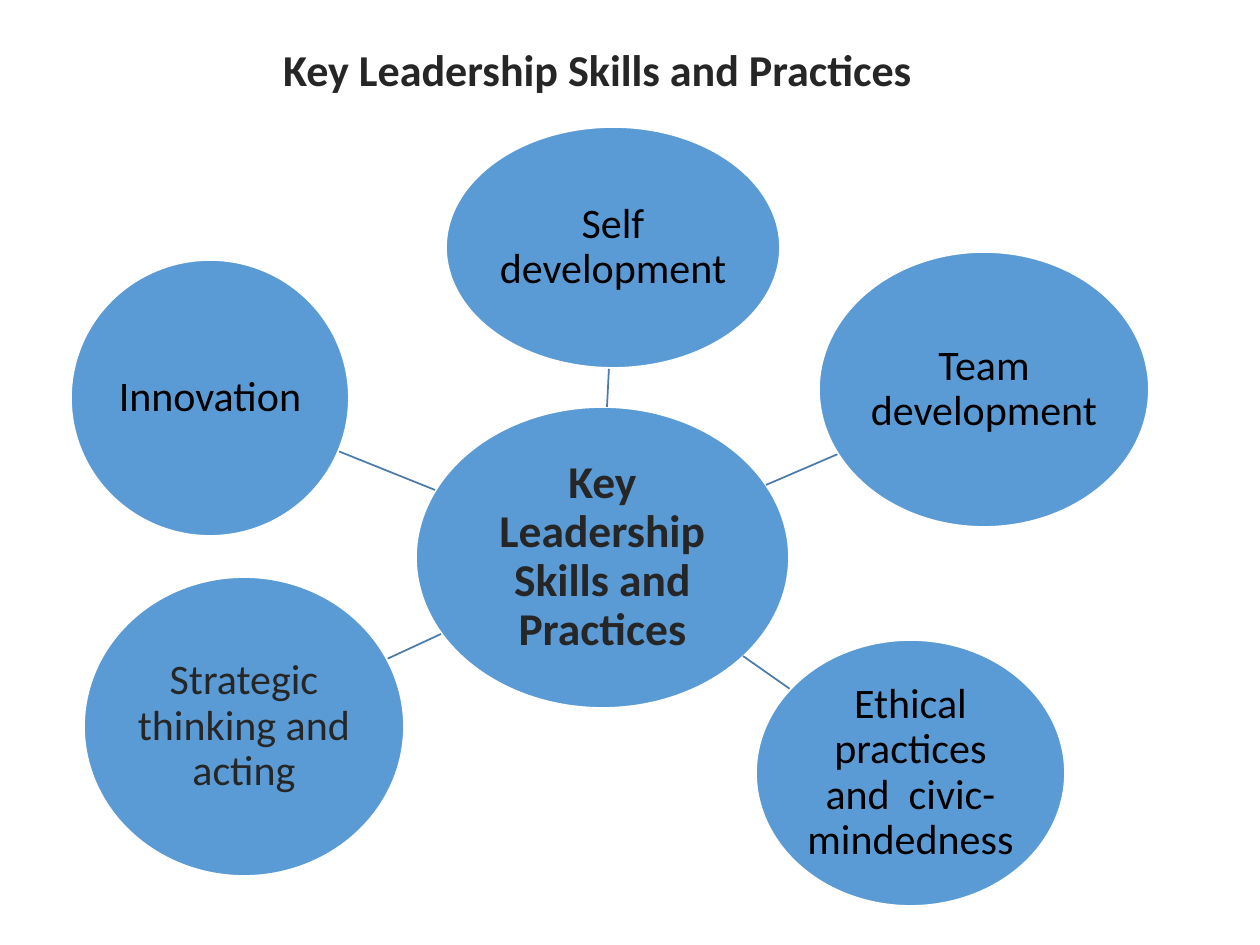
from pptx import Presentation
from pptx.dml.color import RGBColor
from pptx.enum.shapes import MSO_CONNECTOR, MSO_SHAPE
from pptx.enum.text import MSO_ANCHOR as ANCHOR, PP_ALIGN as ALIGN
from pptx.oxml.ns import qn
from pptx.util import Pt
from lxml import etree

EMU_PER_PX = 914400 / 126
DARK = "262626"
HEADING = "Key Leadership Skills and Practices"


def px(*values):
    return [round(v * EMU_PER_PX) for v in values]


def write(sp, text, size=24, color="000000", bold=False, anchor=ANCHOR.MIDDLE, inset=2):
    tf = sp.text_frame
    tf.word_wrap = True
    tf.vertical_anchor = anchor
    tf.margin_left = tf.margin_right = tf.margin_top = tf.margin_bottom = px(inset)[0]
    p = tf.paragraphs[0]
    p.alignment = ALIGN.CENTER
    p.line_spacing = 0.9
    r = p.add_run()
    r.text = text
    r.font.name = "Calibri"
    r.font.size = Pt(size)
    r.font.bold = bold
    r.font.color.rgb = RGBColor.from_string(color)


prs = Presentation()
prs.slide_width, prs.slide_height = px(1260, 945)
s = prs.slides.add_slide(prs.slide_layouts[6])

title = s.shapes.add_textbox(*px(21, 42, 1153, 117))
write(title, HEADING, size=25.2, color=DARK, bold=True, anchor=ANCHOR.TOP, inset=6)

# Text, format, left, top, width, height, and the spoke from the hub to the bubble
bubbles = [
    (HEADING, dict(size=26, color=DARK, bold=True), (416, 407, 373, 301), None),
    ("Self development", {}, (446, 127, 334, 241), (607, 407, 609, 368)),
    ("Team development", {}, (819, 252, 330, 275), (766, 485, 838, 454)),
    ("Ethical practices and  civic-mindedness", {}, (756, 640, 309, 266), (743, 656, 790, 689)),
    ("Strategic thinking and acting", dict(color=DARK), (84, 577, 320, 299), (441, 634, 387, 659)),
    ("Innovation", {}, (71, 260, 278, 276), (435, 490, 338, 451)),
]

for text, style, box, spoke in bubbles:
    if spoke:
        line = s.shapes.add_connector(MSO_CONNECTOR.STRAIGHT, *px(*spoke))
        line.line.color.rgb = RGBColor.from_string("497CAB")
        line.line.width = Pt(1)
        etree.SubElement(line._element.spPr, qn("a:effectLst"))
    sp = s.shapes.add_shape(MSO_SHAPE.OVAL, *px(*box))
    sp.shadow.inherit = False
    sp.fill.solid()
    sp.fill.fore_color.rgb = RGBColor.from_string("5B9BD5")
    sp.line.color.rgb = RGBColor.from_string("FFFFFF")
    sp.line.width = Pt(1)
    write(sp, text, **style)

prs.save("out.pptx")
